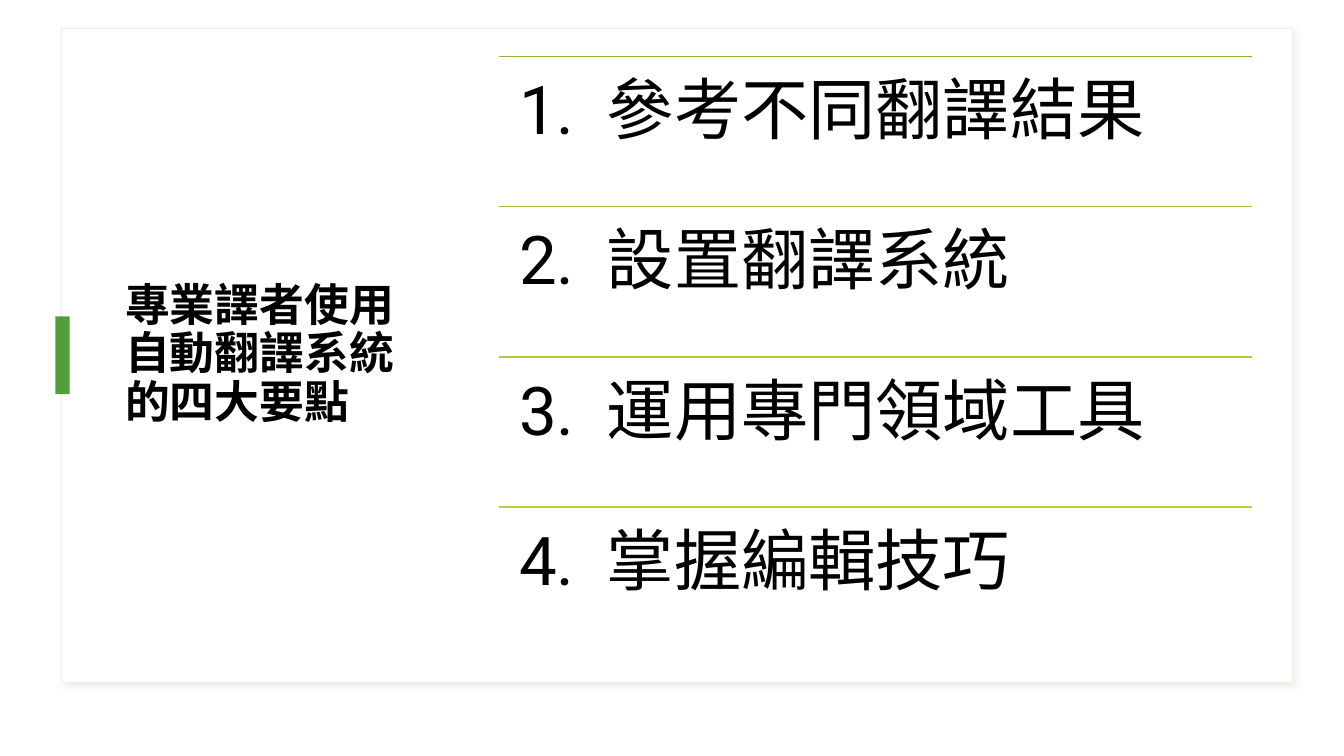
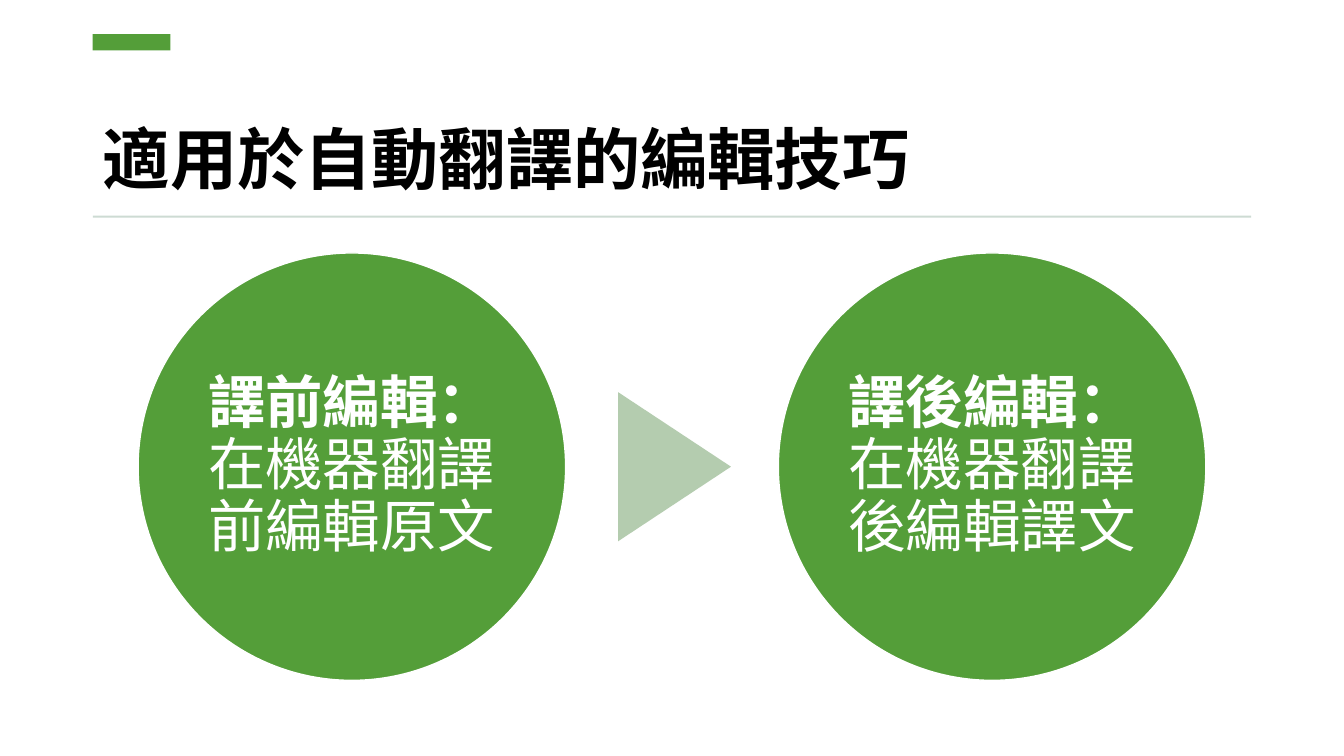
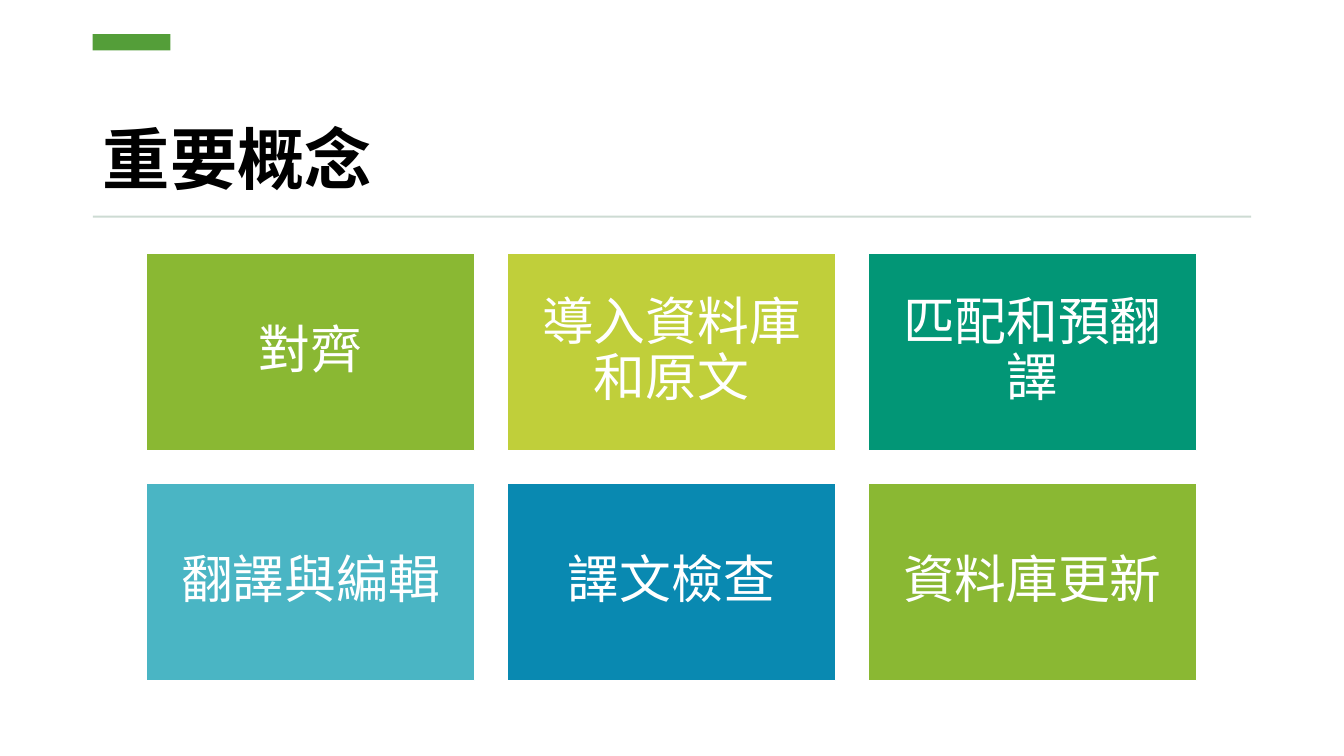
from lxml import etree
from pptx import Presentation
from pptx import util as u
from pptx.dml.color import RGBColor
from pptx.enum import shapes, text
from pptx.oxml import ns

# Shared style
FONT = "Roboto"
BLACK = RGBColor(0x00, 0x00, 0x00)
WHITE = RGBColor(0xFF, 0xFF, 0xFF)
GREEN = RGBColor(0x54, 0x9E, 0x39)
PALE_GREEN = RGBColor(0xB4, 0xCC, 0xAF)
RULE_GREY = RGBColor(0xCD, 0xDB, 0xD3)
CARD_EDGE = RGBColor(0xEB, 0xF0, 0xED)
LEAF = RGBColor(0x8A, 0xB8, 0x33)
LEAF_LIGHT = RGBColor(0x9C, 0xC2, 0x33)
LIME_DARK = RGBColor(0xB0, 0xCB, 0x34)
LIME = RGBColor(0xC0, 0xCF, 0x3A)
TEAL = RGBColor(0x02, 0x96, 0x76)
AQUA = RGBColor(0x4A, 0xB5, 0xC4)
BLUE = RGBColor(0x09, 0x89, 0xB1)

# Shared measures, in inches
SLIDE_WIDTH, SLIDE_HEIGHT = 13.33, 7.5
MARGIN = 0.92
CONTENT_WIDTH = SLIDE_WIDTH - 2 * MARGIN
CONTENT_TOP = 2.51
CONTENT_HEIGHT = 4.24
BAR_LENGTH = 0.77

KINDS = shapes.MSO_SHAPE
MIDDLE = text.MSO_ANCHOR.MIDDLE


def box(left, top, width, height):
    return [u.Inches(value) for value in (left, top, width, height)]


def style_paragraph(paragraph, size, color, bold=None, align=None):
    paragraph.line_spacing = 0.9
    paragraph.alignment = align
    font = paragraph.font
    font.name, font.size, font.bold = FONT, u.Pt(size), bold
    font.color.rgb = color


def set_frame(frame, inset, anchor):
    frame.word_wrap = True
    frame.auto_size = text.MSO_AUTO_SIZE.NONE
    frame.vertical_anchor = anchor
    frame.margin_left = frame.margin_right = u.Inches(inset)
    frame.margin_top = frame.margin_bottom = u.Inches(inset)


def add_block(slide, kind, place, fill, edge=None):
    """Filled preset shape, with a 1 pt outline if an edge colour is given."""
    shape = slide.shapes.add_shape(kind, *box(*place))
    shape.shadow.inherit = False
    shape.fill.solid()
    shape.fill.fore_color.rgb = fill
    if edge is None:
        shape.line.fill.background()
    else:
        shape.line.color.rgb = edge
        shape.line.width = u.Pt(1)
    return shape


def add_label(slide, kind, place, fill, size, inset, parts):
    """White centred text in a shape; parts are (wording, bold) pairs."""
    shape = add_block(slide, kind, place, fill, WHITE)
    set_frame(shape.text_frame, inset, MIDDLE)
    paragraph = shape.text_frame.paragraphs[0]
    for wording, bold in parts:
        run = paragraph.add_run()
        run.text = wording
        run.font.bold = bold
    style_paragraph(paragraph, size, WHITE, align=text.PP_ALIGN.CENTER)


def add_soft_shadow(shape):
    effects = shape._element.spPr.find(ns.qn("a:effectLst"))
    shadow = etree.SubElement(
        effects, ns.qn("a:outerShdw"), blurRad=str(u.Pt(4)), dist=str(u.Pt(3)),
        dir="2700000", algn="tl", rotWithShape="0")
    color = etree.SubElement(shadow, ns.qn("a:srgbClr"), val="CAC1A8")
    etree.SubElement(color, ns.qn("a:alpha"), val="30000")


def add_rule(slide, left, top, width, color):
    line = slide.shapes.add_connector(
        shapes.MSO_CONNECTOR.STRAIGHT, *box(left, top, left + width, top))
    line.line.color.rgb = color
    line.line.width = u.Pt(1)
    etree.SubElement(line._element.spPr, ns.qn("a:effectLst"))


def set_title(slide, wording, place, size, anchor):
    title = slide.shapes.title
    title.left, title.top, title.width, title.height = box(*place)
    frame = title.text_frame
    frame.text = wording
    frame.word_wrap = True
    frame.auto_size = text.MSO_AUTO_SIZE.NONE
    frame.vertical_anchor = anchor
    style_paragraph(frame.paragraphs[0], size, BLACK, True, text.PP_ALIGN.LEFT)


def add_numbered_item(slide, number, wording, place):
    """Number and wording, set apart by a tab at a hanging indent."""
    item = slide.shapes.add_textbox(*box(*place))
    set_frame(item.text_frame, 0.2, text.MSO_ANCHOR.TOP)
    paragraph = item.text_frame.paragraphs[0]
    paragraph.text = f"{number}.\t{wording}"
    indent = u.Inches(0.87)
    properties = paragraph._p.get_or_add_pPr()
    properties.set("marL", str(indent))
    properties.set("indent", str(-indent))
    tabs = etree.SubElement(properties, ns.qn("a:tabLst"))
    etree.SubElement(tabs, ns.qn("a:tab"), pos=str(indent), algn="l")
    style_paragraph(paragraph, 48, BLACK)


def new_slide(presentation):
    return presentation.slides.add_slide(presentation.slide_layouts[5])


def new_topic_slide(presentation, wording):
    """Slide with the green bar, a large title and a rule below it."""
    slide = new_slide(presentation)
    set_title(slide, wording, (MARGIN, 0.75, CONTENT_WIDTH, 1.27), 48,
              text.MSO_ANCHOR.BOTTOM)
    add_block(slide, KINDS.RECTANGLE, (MARGIN, 0.34, BAR_LENGTH, 0.16), GREEN)
    add_block(slide, KINDS.RECTANGLE, (MARGIN, 2.14, CONTENT_WIDTH, 0.02), RULE_GREY)
    return slide


def build_key_points(presentation):
    slide = new_slide(presentation)

    # Card, moved behind the title
    card = add_block(slide, KINDS.RECTANGLE, (0.61, 0.28, 12.21, 6.49), WHITE, CARD_EDGE)
    add_soft_shadow(card)
    slide.shapes.title._element.addprevious(card._element)
    set_title(slide, "專業譯者使用自動翻譯系統的四大要點", (1.14, 0.55, 3.27, 5.95), 32, MIDDLE)
    add_block(slide, KINDS.RECTANGLE, (0.55, 3.14, 0.14, BAR_LENGTH), GREEN)

    # Numbered list
    left, top, width, row = 4.95, 0.56, 7.47, 1.49
    points = [("參考不同翻譯結果", LEAF), ("設置翻譯系統", LEAF_LIGHT),
              ("運用專門領域工具", LIME_DARK), ("掌握編輯技巧", LIME)]
    for index, (wording, color) in enumerate(points):
        row_top = top + index * row
        add_rule(slide, left, row_top, width, color)
        add_numbered_item(slide, index + 1, wording, (left, row_top, width, row))


def build_editing_skills(presentation):
    slide = new_topic_slide(presentation, "適用於自動翻譯的編輯技巧")

    # Two circles, before and after translation
    stages = [("譯前編輯：", "在機器翻譯前編輯原文"),
              ("譯後編輯：", "在機器翻譯後編輯譯文")]
    for index, (heading, detail) in enumerate(stages):
        place = (1.37 + index * 6.35, CONTENT_TOP, CONTENT_HEIGHT, CONTENT_HEIGHT)
        add_label(slide, KINDS.OVAL, place, GREEN, 41, 0.06,
                  [(heading, True), (detail, False)])

    # Pointer between them
    pointer = add_block(slide, KINDS.ISOSCELES_TRIANGLE, (5.95, 4.07, 1.48, 1.12), PALE_GREEN)
    pointer.rotation = 90


def build_concepts(presentation):
    slide = new_topic_slide(presentation, "重要概念")

    # Tiles in three columns
    columns, width, height, gap = 3, 3.26, 1.96, 0.32
    concepts = [("對齊", LEAF), ("導入資料庫和原文", LIME), ("匹配和預翻譯", TEAL),
                ("翻譯與編輯", AQUA), ("譯文檢查", BLUE), ("資料庫更新", LEAF)]
    for index, (wording, color) in enumerate(concepts):
        row, column = divmod(index, columns)
        place = (1.45 + column * (width + gap), CONTENT_TOP + row * (height + gap),
                 width, height)
        add_label(slide, KINDS.RECTANGLE, place, color, 37, 0.15, [(wording, None)])


def main():
    presentation = Presentation()
    presentation.slide_width = u.Inches(SLIDE_WIDTH)
    presentation.slide_height = u.Inches(SLIDE_HEIGHT)
    build_key_points(presentation)
    build_editing_skills(presentation)
    build_concepts(presentation)
    presentation.save("out.pptx")


if __name__ == "__main__":
    main()
